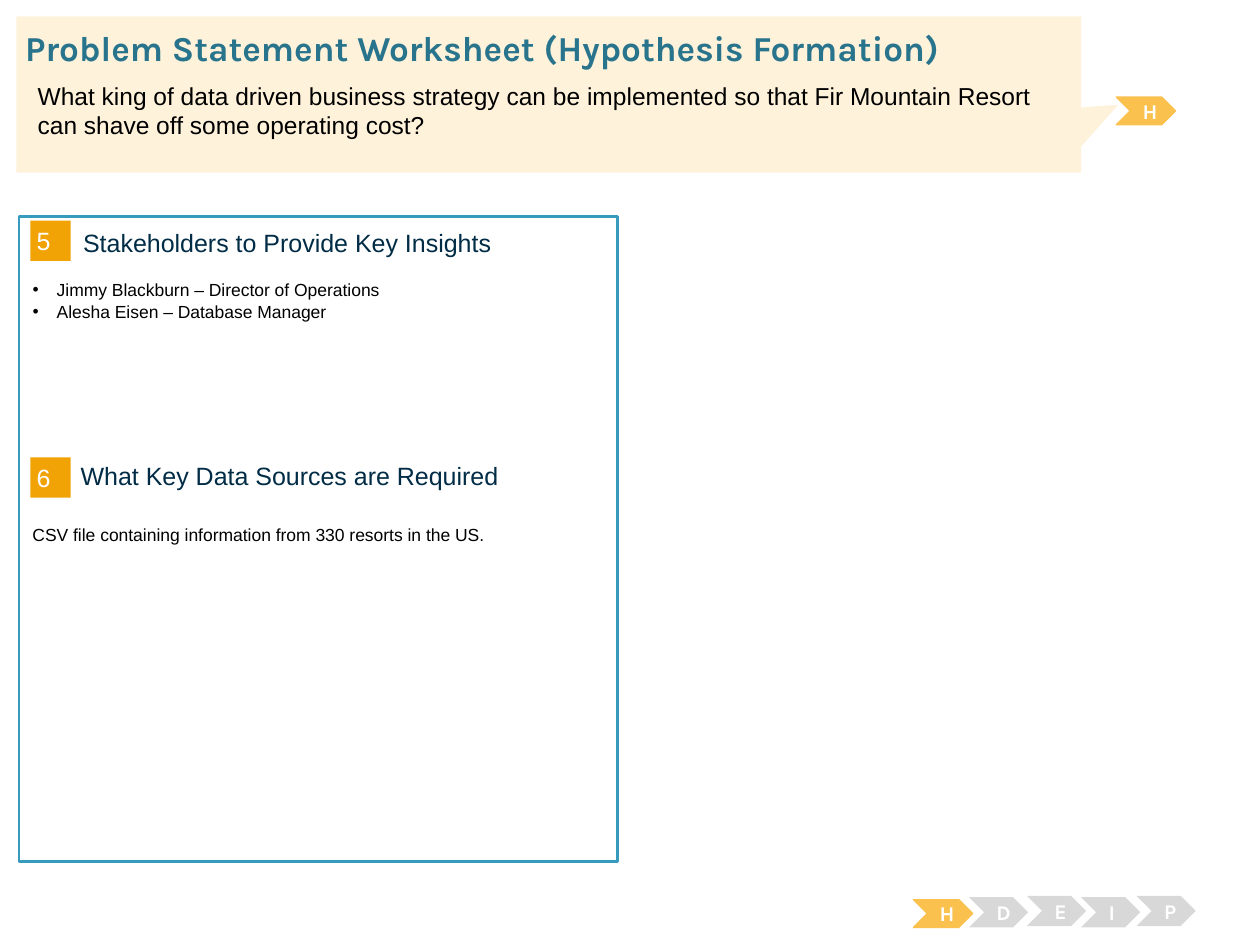
from dataclasses import dataclass

from lxml.etree import SubElement
from pptx import Presentation
from pptx.dml.color import RGBColor
from pptx.enum.shapes import MSO_SHAPE as SHAPE
from pptx.enum.text import MSO_ANCHOR as ANCHOR, MSO_AUTO_SIZE as AUTO, PP_ALIGN as ALIGN
from pptx.oxml.ns import qn
from pptx.util import Inches, Pt


@dataclass(frozen=True)
class Theme:
    sans: str = "Arial"
    display: str = "Karla"
    white: str = "FFFFFF"
    black: str = "000000"
    navy: str = "002C46"
    teal: str = "29748D"
    border: str = "379BBD"
    orange: str = "F1A205"
    amber: str = "FBC14E"
    cream: str = "FEF2DA"
    grey: str = "D8D8D8"
    title: float = 20
    question: float = 14
    heading: float = 14.3
    step: float = 12
    body: float = 10


@dataclass(frozen=True)
class Section:
    number: str
    heading: str
    badge_top: float
    heading_box: tuple


@dataclass(frozen=True)
class Step:
    letter: str
    left: float
    top: float
    active: bool = False


T = Theme()
PAD = (0.1, 0.05, 0.1, 0.05)
NO_PAD = (0, 0, 0, 0)

SECTIONS = [
    Section("5", "Stakeholders to Provide Key Insights", 1.75, (0.66, 1.8, 3.93, 0.25)),
    Section("6", "What Key Data Sources are Required", 3.63, (0.64, 3.6, 3.93, 0.34)),
]
STEPS = [
    Step("H", 7.25, 7.14, True),
    Step("D", 7.69, 7.12),
    Step("E", 8.15, 7.11),
    Step("I", 8.58, 7.12),
    Step("P", 9.02, 7.11),
    Step("H", 8.86, 0.77, True),
]


def place(sp, box: tuple) -> None:
    sp.left, sp.top, sp.width, sp.height = map(Inches, box)


def write(sp, text: str, *, size: float, color: str, font: str = T.sans,
          bold: bool = False, align=ALIGN.LEFT, anchor=ANCHOR.TOP,
          pad: tuple = PAD, spacing: float = 1.0, bullet: bool = False) -> None:
    tf = sp.text_frame
    tf.text = text
    tf.word_wrap = True
    tf.auto_size = AUTO.NONE
    tf.vertical_anchor = anchor
    tf.margin_left, tf.margin_top, tf.margin_right, tf.margin_bottom = map(Inches, pad)
    for p in tf.paragraphs:
        p.alignment = align
        p.line_spacing = spacing
        p.space_before = p.space_after = Pt(0)
        if bullet:
            add_bullet(p)
        for r in p.runs:
            r.font.size = Pt(size)
            r.font.name = font
            r.font.bold = bold
            r.font.color.rgb = RGBColor.from_string(color)


def add_bullet(p) -> None:
    pPr = p._p.get_or_add_pPr()
    pPr.set("marL", str(Inches(0.19)))
    pPr.set("indent", str(-Inches(0.19)))
    SubElement(pPr, qn("a:buFont"), typeface=T.sans)
    SubElement(pPr, qn("a:buChar"), char="•")


def add_block(s, kind, box: tuple, fill: str, line: str = "", width: float = 0.75):
    sp = s.shapes.add_shape(kind, *map(Inches, box))
    sp.shadow.inherit = False
    sp.fill.solid()
    sp.fill.fore_color.rgb = RGBColor.from_string(fill)
    if line:
        sp.line.color.rgb = RGBColor.from_string(line)
        sp.line.width = Pt(width)
    else:
        sp.line.fill.background()
    return sp


def add_text(s, box: tuple, text: str, **fmt) -> None:
    write(s.shapes.add_textbox(*map(Inches, box)), text, **fmt)


def add_section(s, section: Section) -> None:
    badge = add_block(s, SHAPE.RECTANGLE, (0.24, section.badge_top, 0.32, 0.32), T.orange)
    write(badge, section.number, size=T.heading, color=T.white,
          anchor=ANCHOR.MIDDLE, pad=(0.05,) * 4)
    add_text(s, section.heading_box, section.heading, size=T.heading, color=T.navy,
             anchor=ANCHOR.MIDDLE, pad=NO_PAD)


def add_step(s, step: Step) -> None:
    fill, line, height = (T.amber, T.amber, 0.22) if step.active else (T.grey, "", 0.24)
    sp = add_block(s, SHAPE.CHEVRON, (step.left, step.top, 0.47, height), fill, line)
    write(sp, step.letter, size=T.step, color=T.white, font=T.display, bold=True,
          align=ALIGN.CENTER, anchor=ANCHOR.MIDDLE)


def bring_to_front(s, sp) -> None:
    s.shapes._spTree.append(sp._element)


def main() -> None:
    prs = Presentation()
    prs.slide_width, prs.slide_height = Inches(10), Inches(7.5)
    s = prs.slides.add_slide(prs.slide_layouts[1])
    title, stakeholders = s.shapes.title, s.placeholders[1]

    add_block(s, SHAPE.RECTANGLE, (0.15, 1.72, 4.75, 5.12), T.white, T.border, 1.5)
    for section in SECTIONS:
        add_section(s, section)

    place(stakeholders, (0.16, 2.15, 4.73, 2.17))
    write(stakeholders, "Jimmy Blackburn – Director of Operations\nAlesha Eisen – Database Manager",
          size=T.body, color=T.black, spacing=1.07, bullet=True)
    bring_to_front(s, stakeholders)
    add_text(s, (0.16, 4.1, 4.73, 2.54),
             "CSV file containing information from 330 resorts in the US.",
             size=T.body, color=T.black, spacing=1.07)

    for step in STEPS:
        add_step(s, step)

    callout = add_block(s, SHAPE.RECTANGULAR_CALLOUT, (0.13, 0.13, 8.45, 1.24), T.cream)
    callout.adjustments[0], callout.adjustments[1] = 0.535, 0.066

    place(title, (0.2, 0.21, 9.62, 0.34))
    write(title, "Problem Statement Worksheet (Hypothesis Formation)", size=T.title,
          color=T.teal, font=T.display, bold=True, pad=NO_PAD)
    bring_to_front(s, title)
    add_text(s, (0.2, 0.59, 8.38, 0.75),
             "What king of data driven business strategy can be implemented so that "
             "Fir Mountain Resort can shave off some operating cost?",
             size=T.question, color=T.black)

    prs.save("out.pptx")


if __name__ == "__main__":
    main()
